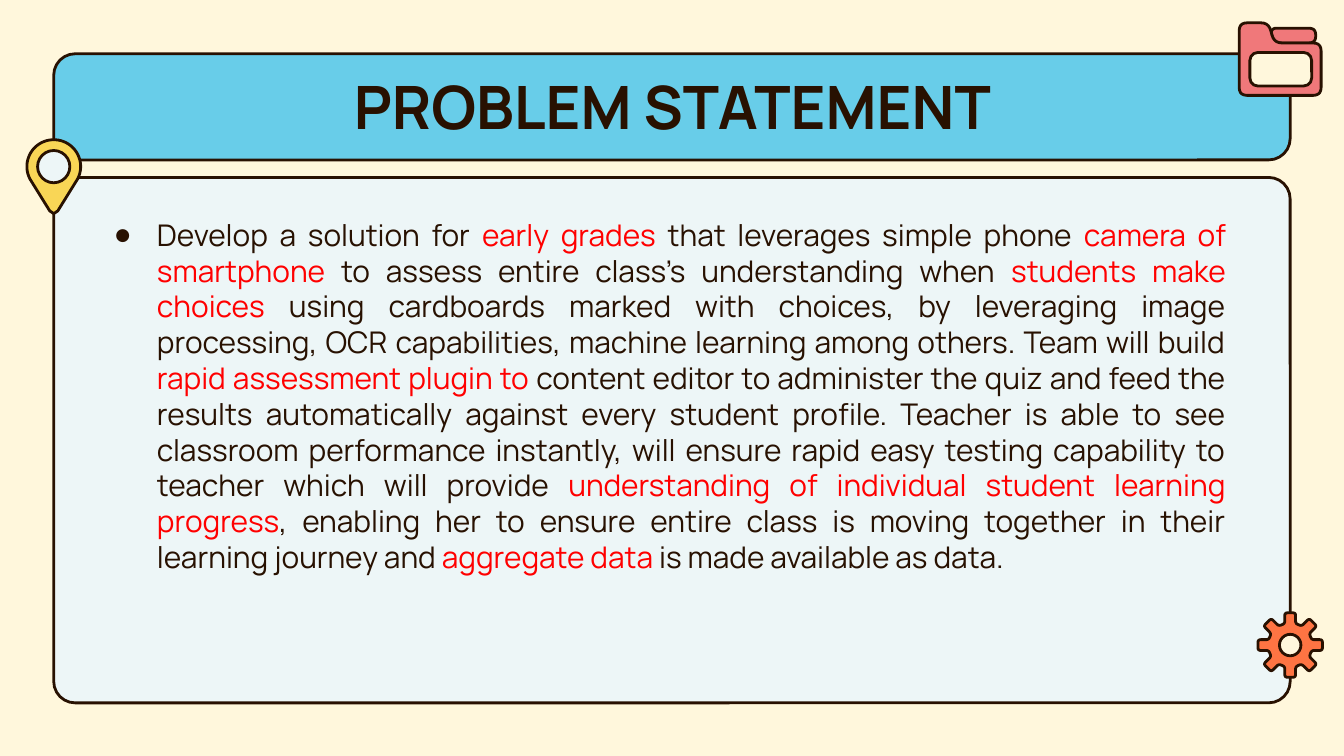
from dataclasses import dataclass
from math import cos, hypot, pi, radians, sin

from lxml import etree
from pptx import Presentation
from pptx.dml.color import RGBColor
from pptx.enum.shapes import MSO_SHAPE
from pptx.enum.text import MSO_ANCHOR, PP_ALIGN
from pptx.oxml.ns import qn
from pptx.util import Inches, Pt

ROUNDED = MSO_SHAPE.ROUNDED_RECTANGLE
OVAL = MSO_SHAPE.OVAL
TOP = MSO_ANCHOR.TOP
CENTER = PP_ALIGN.CENTER
JUSTIFY = PP_ALIGN.JUSTIFY


@dataclass(frozen=True)
class Theme:
    """Colours and type sizes of the slide."""
    cream: str = "FFF7DC"
    ink: str = "281101"
    blue: str = "68CDE9"
    mist: str = "EDF6F7"
    yellow: str = "F9D656"
    pink: str = "F0787A"
    orange: str = "FE7443"
    red: str = "FF0000"
    font: str = "Manrope"
    title_size: int = 32
    body_size: int = 16
    bullet_percent: int = 57
    line_width: float = 1.5


THEME = Theme()
STATEMENT = [
    ("Develop a solution for ", THEME.ink),
    ("early grades", THEME.red),
    (" that leverages simple phone ", THEME.ink),
    ("camera of smartphone ", THEME.red),
    ("to assess entire class’s understanding when ", THEME.ink),
    ("students make choices ", THEME.red),
    ("using cardboards marked with choices, by leveraging image processing, "
     "OCR capabilities, machine learning among others. Team will build ", THEME.ink),
    ("rapid assessment plugin to ", THEME.red),
    ("content editor to administer the quiz and feed the results automatically "
     "against every student profile. Teacher is able to see classroom performance "
     "instantly, will ensure rapid easy testing capability to teacher which will "
     "provide ", THEME.ink),
    ("understanding of individual student learning progress", THEME.red),
    (", enabling her to ensure entire class is moving together in their learning "
     "journey and ", THEME.ink),
    ("aggregate data ", THEME.red),
    ("is made available as data.", THEME.ink),
]


def paint(shape, color):
    """Give a shape its fill and the common outline."""
    shape.shadow.inherit = False
    shape.fill.solid()
    shape.fill.fore_color.rgb = RGBColor.from_string(color)
    shape.line.color.rgb = RGBColor.from_string(THEME.ink)
    shape.line.width = Pt(THEME.line_width)


def add_preset(page, kind, left, top, width, height, color, radius=None):
    """Add a painted preset shape, with a corner radius in inches if given."""
    shape = page.shapes.add_shape(
        kind, Inches(left), Inches(top), Inches(width), Inches(height))
    if radius is not None:
        shape.adjustments[0] = radius / min(width, height)
    paint(shape, color)


def add_outline(page, left, top, points, color):
    """Add a painted closed outline from points relative to a corner."""
    places = [(Inches(left + x), Inches(top + y)) for x, y in points]
    builder = page.shapes.build_freeform(*places[0])
    builder.add_line_segments(places[1:], close=True)
    paint(builder.convert_to_shape(), color)


def round_corners(corners, radius, steps=5):
    """Return the points of a polygon with its corners softened."""
    points = []
    for index, (x, y) in enumerate(corners):
        ends = []
        for other_x, other_y in (corners[index - 1], corners[(index + 1) % len(corners)]):
            length = hypot(other_x - x, other_y - y)
            share = min(radius / length, 0.5)
            ends.append((x + (other_x - x) * share, y + (other_y - y) * share))
        (start_x, start_y), (end_x, end_y) = ends
        for step in range(steps + 1):
            t = step / steps
            a, b, c = (1 - t) ** 2, 2 * t * (1 - t), t ** 2
            points.append((a * start_x + b * x + c * end_x,
                           a * start_y + b * y + c * end_y))
    return points


def add_text(page, left, top, width, height, spans, size, align, bold=False):
    """Add a one-paragraph text box and return its paragraph."""
    box = page.shapes.add_textbox(
        Inches(left), Inches(top), Inches(width), Inches(height))
    frame = box.text_frame
    frame.word_wrap = True
    frame.vertical_anchor = TOP
    frame.margin_left = frame.margin_right = Inches(0.1)
    frame.margin_top = frame.margin_bottom = Inches(0.1)
    para = frame.paragraphs[0]
    para.alignment = align
    for text, color in spans:
        span = para.add_run()
        span.text = text
        span.font.name = THEME.font
        span.font.size = Pt(size)
        span.font.bold = bold
        span.font.color.rgb = RGBColor.from_string(color)
    return para


def add_bullet(para, indent, hanging):
    """Give a paragraph a hanging round bullet."""
    properties = para._p.get_or_add_pPr()
    properties.set("marL", str(Inches(indent)))
    properties.set("indent", str(-Inches(hanging)))
    color = etree.SubElement(properties, qn("a:buClr"))
    etree.SubElement(color, qn("a:srgbClr"), val=THEME.ink)
    etree.SubElement(properties, qn("a:buSzPct"), val=str(THEME.bullet_percent * 1000))
    etree.SubElement(properties, qn("a:buFont"), typeface=THEME.font)
    etree.SubElement(properties, qn("a:buChar"), char="●")


def add_title_panel(page, left, top, width, height):
    """Draw the title banner."""
    add_preset(page, ROUNDED, left, top, width, height, THEME.blue, 0.16)
    add_text(page, left + 0.39, top + 0.02, width - 0.77, 0.65,
             [("PROBLEM STATEMENT", THEME.ink)], THEME.title_size, CENTER, True)


def add_body_panel(page, left, top, width, height):
    """Draw the body panel with the statement."""
    add_preset(page, ROUNDED, left, top, width, height, THEME.mist, 0.16)
    para = add_text(page, left + 0.25, top + 0.19, width - 0.63, height - 0.53,
                    STATEMENT, THEME.body_size, JUSTIFY)
    add_bullet(para, 0.42, 0.31)


def add_pin(page, left, top, radius, height):
    """Draw the map pin: a round head that narrows to a tip."""
    head = [(radius + radius * cos(radians(angle)), radius + radius * sin(radians(angle)))
            for angle in range(153, 388, 6)]
    tip = [(radius + 0.03, height - 0.02), (radius, height), (radius - 0.03, height - 0.02)]
    add_outline(page, left, top, head + tip, THEME.yellow)
    hole = 0.12
    add_preset(page, OVAL, left + radius - hole, top + radius - hole,
               2 * hole, 2 * hole, THEME.mist)


def add_folder(page, left, top, width, height):
    """Draw the folder with its back flap and label."""
    front = [(0, 0), (0.22, 0), (0.26, 0.15), (width, 0.15), (width, height), (0, height)]
    flap = [(0.23, 0.04), (0.57, 0.04), (0.57, 0.15), (0.26, 0.15)]
    add_outline(page, left, top, round_corners(flap, 0.05), THEME.pink)
    add_outline(page, left, top, round_corners(front, 0.06), THEME.pink)
    add_preset(page, ROUNDED, left + 0.08, top + 0.22, width - 0.15, 0.25,
               THEME.cream, 0.06)


def add_gear(page, left, top, size, teeth=8):
    """Draw the gear with evenly turned teeth and a round hole."""
    middle, root, half, hole = size / 2, 0.16, 0.04, 0.08
    corners = []
    for tooth in range(teeth):
        turn = 2 * pi * tooth / teeth
        for x, y in ((root, -half), (middle, -half), (middle, half), (root, half)):
            corners.append((middle + x * cos(turn) - y * sin(turn),
                            middle + x * sin(turn) + y * cos(turn)))
    add_outline(page, left, top, round_corners(corners, 0.02), THEME.orange)
    add_preset(page, OVAL, left + middle - hole, top + middle - hole,
               2 * hole, 2 * hole, THEME.cream)


def main():
    """Build the slide and save the deck."""
    deck = Presentation()
    deck.slide_width, deck.slide_height = Inches(10), Inches(10 * 9 / 16)
    page = deck.slides.add_slide(deck.slide_layouts[6])
    page.background.fill.solid()
    page.background.fill.fore_color.rgb = RGBColor.from_string(THEME.cream)
    add_body_panel(page, 0.4, 1.32, 9.2, 3.91)
    add_title_panel(page, 0.4, 0.4, 9.2, 0.79)
    add_pin(page, 0.2, 1.04, 0.2, 0.55)
    add_folder(page, 9.22, 0.17, 0.61, 0.54)
    add_gear(page, 9.36, 4.56, 0.48)
    deck.save("out.pptx")


if __name__ == "__main__":
    main()
